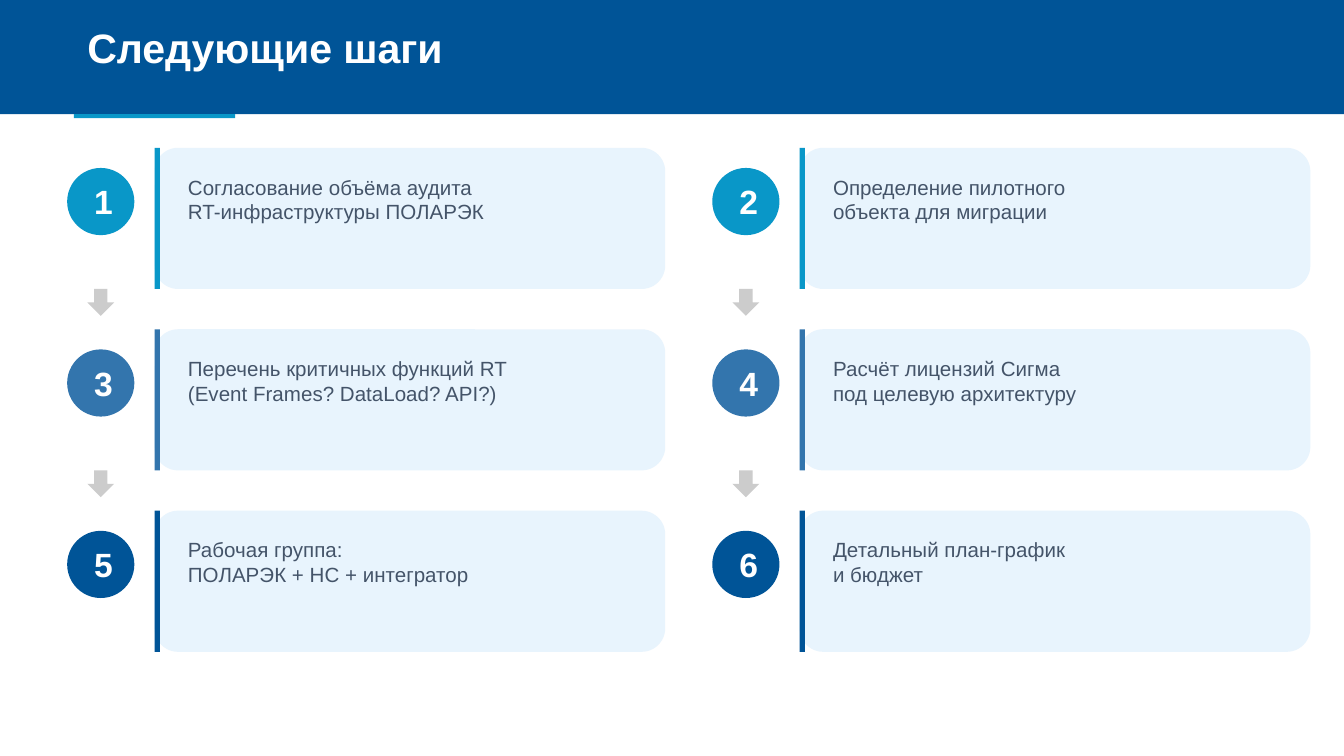
from dataclasses import dataclass

from pptx import Presentation
from pptx import util as u
from pptx.dml.color import RGBColor
from pptx.enum import shapes, text

TITLE = "Следующие шаги"
STEPS = [
    ("Согласование объёма аудита", "RT-инфраструктуры ПОЛАРЭК"),
    ("Определение пилотного", "объекта для миграции"),
    ("Перечень критичных функций RT", "(Event Frames? DataLoad? API?)"),
    ("Расчёт лицензий Сигма", "под целевую архитектуру"),
    ("Рабочая группа:", "ПОЛАРЭК + НС + интегратор"),
    ("Детальный план-график", "и бюджет"),
]


@dataclass(frozen=True)
class Theme:
    font: str = "Arial"
    header: str = "005497"
    accent: str = "0997C8"
    rows: tuple = ("0997C8", "3375AD", "005497")
    card: str = "E8F4FD"
    arrow: str = "CCCCCC"
    ink: str = "445469"
    white: str = "FFFFFF"
    title_size: int = 22
    number_size: int = 18
    body_size: int = 11


THEME = Theme()
SHAPE = shapes.MSO_SHAPE
ALIGN = text.PP_ALIGN
PX = u.Inches(1) // 200
SLIDE_W, SLIDE_H = 2000, 1125
COLS = 2
LEFT, TOP = 100, 220
COL_STEP, ROW_STEP = 960, 270
CARD_W, CARD_H = 760, 210


def px(*lengths):
    return [n * PX for n in lengths]


def add_block(s, kind, box, color):
    sp = s.shapes.add_shape(kind, *px(*box))
    sp.shadow.inherit = False
    sp.fill.solid()
    sp.fill.fore_color.rgb = RGBColor.from_string(color)
    sp.line.fill.background()


def write(sp, lines, size, color, bold=False, align=ALIGN.LEFT):
    tf = sp.text_frame
    tf.word_wrap = True
    tf.auto_size = text.MSO_AUTO_SIZE.SHAPE_TO_FIT_TEXT
    tf.vertical_anchor = text.MSO_ANCHOR.TOP
    p = tf.paragraphs[0]
    p.alignment = align
    for i, line in enumerate(lines):
        if i:
            p.add_line_break()
        r = p.add_run()
        r.text = line
        r.font.name = THEME.font
        r.font.size = u.Pt(size)
        r.font.bold = bold
        r.font.color.rgb = RGBColor.from_string(color)


def add_header(s):
    add_block(s, SHAPE.RECTANGLE, (0, 0, SLIDE_W, 170), THEME.header)
    title = s.shapes.title
    title.left, title.top, title.width, title.height = px(110, 24, 1700, 146)
    write(title, [TITLE], THEME.title_size, THEME.white, bold=True)
    s.shapes.element.append(title.element)
    add_block(s, SHAPE.RECTANGLE, (110, 170, 240, 6), THEME.accent)


def add_step(s, index, lines):
    row, col = divmod(index, COLS)
    x, y = LEFT + col * COL_STEP, TOP + row * ROW_STEP
    color = THEME.rows[row]
    add_block(s, SHAPE.OVAL, (x, y + 30, 100, 100), color)
    number = s.shapes.add_textbox(*px(x + 4, y + 40, 100, 80))
    write(number, [str(index + 1)], THEME.number_size, THEME.white, True, ALIGN.CENTER)
    add_block(s, SHAPE.ROUNDED_RECTANGLE, (x + 130, y, CARD_W, CARD_H), THEME.card)
    add_block(s, SHAPE.RECTANGLE, (x + 130, y, 8, CARD_H), color)
    body = s.shapes.add_textbox(*px(x + 160, y + 30, 710, 160))
    write(body, lines, THEME.body_size, THEME.ink)
    if index + COLS < len(STEPS):
        add_block(s, SHAPE.DOWN_ARROW, (x + 30, y + CARD_H, 40, 40), THEME.arrow)


def main():
    prs = Presentation()
    prs.slide_width, prs.slide_height = px(SLIDE_W, SLIDE_H)
    s = prs.slides.add_slide(prs.slide_layouts.get_by_name("Title Only"))
    add_header(s)
    for index, lines in enumerate(STEPS):
        add_step(s, index, lines)
    prs.save("out.pptx")


if __name__ == "__main__":
    main()
